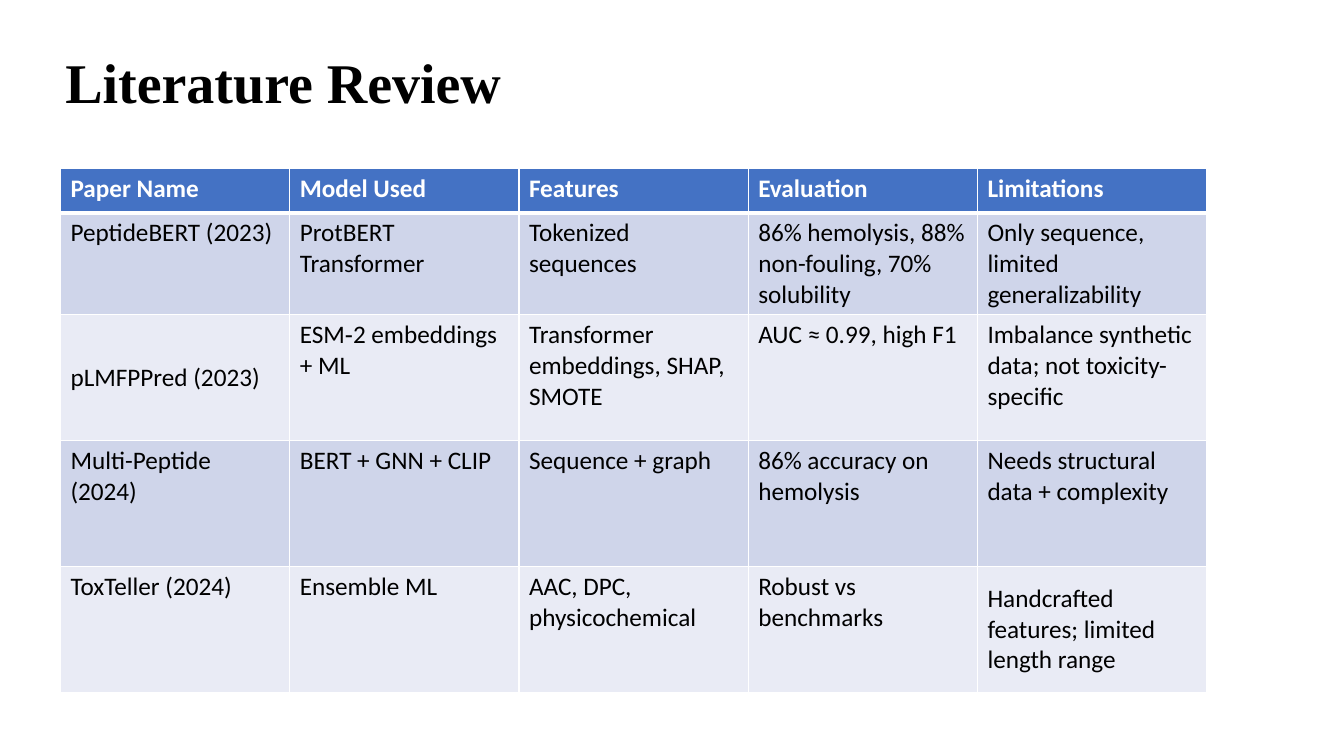
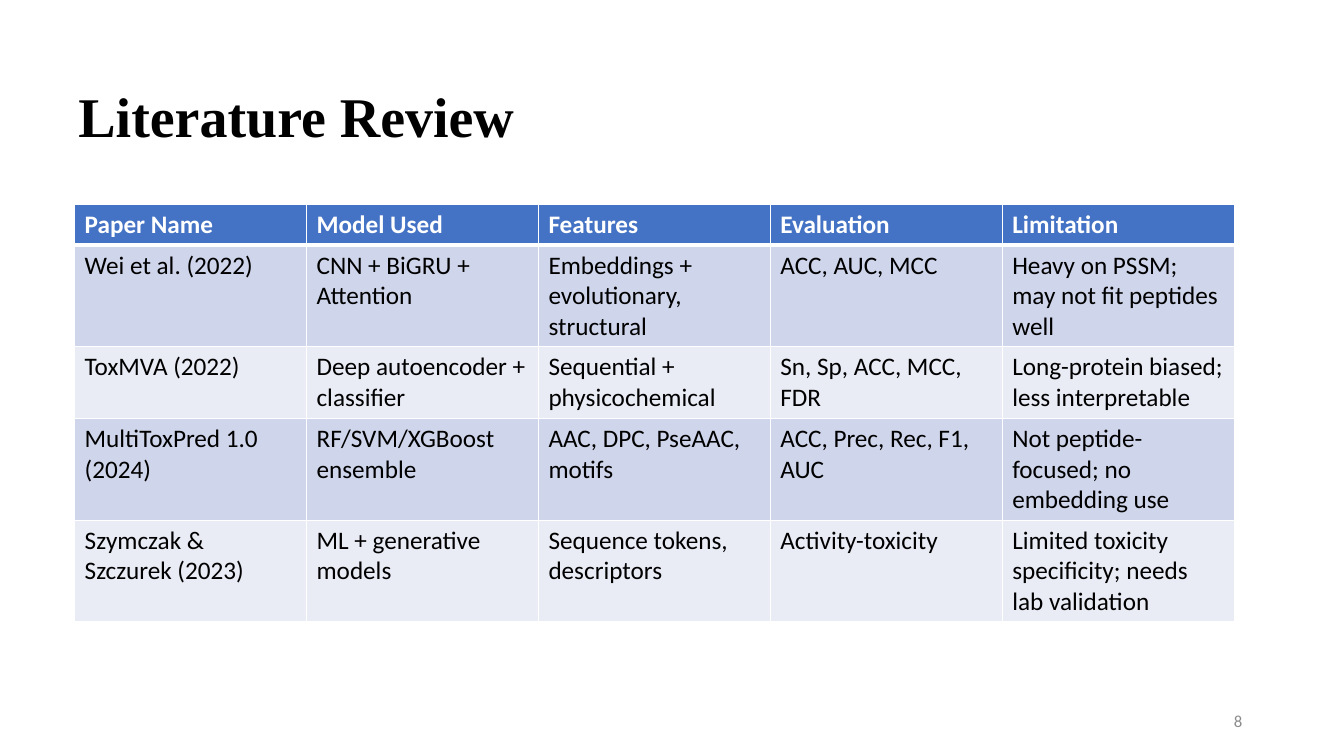
import dataclasses

import lxml.etree
import pptx
import pptx.dml.color
import pptx.enum.text
import pptx.oxml.ns
import pptx.util

Inches = pptx.util.Inches
Pt = pptx.util.Pt
RGB = pptx.dml.color.RGBColor.from_string
Anchor = pptx.enum.text.MSO_ANCHOR
Align = pptx.enum.text.PP_ALIGN
qn = pptx.oxml.ns.qn


@dataclasses.dataclass(frozen=True)
class Theme:
    header_fill: str = "4472C4"
    band_fills: tuple = ("CFD5EA", "E9EBF5")
    border: str = "FFFFFF"
    thin: float = 1
    thick: float = 3
    title: dict = dataclasses.field(default_factory=lambda: {
        "name": "Times New Roman", "size": Pt(40), "bold": True, "color": "000000"})
    header: dict = dataclasses.field(default_factory=lambda: {
        "name": "Calibri", "size": Pt(18), "bold": True, "color": "FFFFFF"})
    body: dict = dataclasses.field(default_factory=lambda: {
        "name": "Calibri", "size": Pt(18), "bold": False, "color": "000000"})
    page_number: dict = dataclasses.field(default_factory=lambda: {
        "name": "Calibri", "size": Pt(12), "bold": False, "color": "8C8C8C"})


THEME = Theme()

REVIEWS = [
    {
        "title_box": (0.55, 0.45, 9.28, 0.79),
        "title_format": {"line_spacing": 0.9},
        "table_box": (0.6, 1.67, 11.37),
        "row_heights": (0.44, 1.01, 1.25, 1.25, 1.25),
        "centred_cells": {(2, 0), (4, 4)},
        "page": None,
        "papers": [
            ("Paper Name", "Model Used", "Features", "Evaluation", "Limitations"),
            ("PeptideBERT (2023)", "ProtBERT Transformer", "Tokenized sequences",
             "86% hemolysis, 88% non-fouling, 70% solubility",
             "Only sequence, limited generalizability"),
            ("pLMFPPred (2023)", "ESM‑2 embeddings + ML",
             "Transformer embeddings, SHAP, SMOTE", "AUC ≈ 0.99, high F1",
             "Imbalance synthetic data; not toxicity-specific"),
            ("Multi-Peptide (2024)", "BERT + GNN + CLIP", "Sequence + graph",
             "86% accuracy on hemolysis", "Needs structural data + complexity"),
            ("ToxTeller (2024)", "Ensemble ML", "AAC, DPC, physicochemical",
             "Robust vs benchmarks", "Handcrafted features; limited length range"),
        ],
    },
    {
        "title_box": (0.68, 0.76, 4.57, 0.77),
        "title_format": {},
        "table_box": (0.74, 2.03, 11.5),
        "row_heights": (0.4, 1.01, 0.71, 1.01, 1.01),
        "centred_cells": set(),
        "page": "8",
        "papers": [
            ("Paper Name", "Model Used", "Features", "Evaluation", "Limitation"),
            ("Wei et al. (2022)", "CNN + BiGRU + Attention",
             "Embeddings + evolutionary, structural", "ACC, AUC, MCC",
             "Heavy on PSSM; may not fit peptides well"),
            ("ToxMVA (2022)", "Deep autoencoder + classifier",
             "Sequential + physicochemical", "Sn, Sp, ACC, MCC, FDR",
             "Long-protein biased; less interpretable"),
            ("MultiToxPred 1.0 (2024)", "RF/SVM/XGBoost ensemble",
             "AAC, DPC, PseAAC, motifs", "ACC, Prec, Rec, F1, AUC",
             "Not peptide-focused; no embedding use"),
            ("Szymczak & Szczurek (2023)", "ML + generative models",
             "Sequence tokens, descriptors", "Activity-toxicity",
             "Limited toxicity specificity; needs lab validation"),
        ],
    },
]


def set_all(target, values):
    for attribute, value in values.items():
        setattr(target, attribute, value)


def write_text(paragraph, text, font_format, paragraph_format=None):
    run = paragraph.add_run()
    run.text = text
    for attribute, value in font_format.items():
        if attribute == "color":
            run.font.color.rgb = RGB(value)
        else:
            setattr(run.font, attribute, value)
    set_all(paragraph, paragraph_format or {})


def add_label(slide, box, text, font_format, paragraph_format):
    label = slide.shapes.add_textbox(*map(Inches, box)).text_frame
    set_all(label, {"word_wrap": True, "vertical_anchor": Anchor.MIDDLE})
    write_text(label.paragraphs[0], text, font_format, paragraph_format)


def add_borders(cell, widths):
    properties = cell._tc.get_or_add_tcPr()
    for side, width in widths.items():
        line = lxml.etree.SubElement(properties, qn(f"a:ln{side}"), w=str(Pt(width)))
        fill = lxml.etree.SubElement(line, qn("a:solidFill"))
        lxml.etree.SubElement(fill, qn("a:srgbClr"), val=THEME.border)


def style_cell(cell, row, fill, anchor):
    add_borders(cell, {
        "L": THEME.thin,
        "R": THEME.thin,
        "T": THEME.thick if row == 1 else THEME.thin,
        "B": THEME.thick if row == 0 else THEME.thin,
    })
    cell.fill.solid()
    cell.fill.fore_color.rgb = RGB(fill)
    cell.vertical_anchor = anchor


def add_papers_table(slide, box, papers, row_heights, centred_cells):
    left, top, width = box
    column_count = len(papers[0])
    table = slide.shapes.add_table(
        len(papers), column_count, Inches(left), Inches(top),
        Inches(width), Inches(sum(row_heights))).table
    for column in table.columns:
        column.width = Inches(width / column_count)
    for row, (paper, height) in enumerate(zip(papers, row_heights)):
        table.rows[row].height = Inches(height)
        fill = THEME.band_fills[(row - 1) % 2] if row else THEME.header_fill
        font_format = THEME.body if row else THEME.header
        for column, text in enumerate(paper):
            cell = table.cell(row, column)
            anchor = Anchor.MIDDLE if (row, column) in centred_cells else Anchor.TOP
            style_cell(cell, row, fill, anchor)
            write_text(cell.text_frame.paragraphs[0], text, font_format)


def add_review_slide(deck, review):
    slide = deck.slides.add_slide(deck.slide_layouts[6])
    add_label(slide, review["title_box"], "Literature Review",
              THEME.title, review["title_format"])
    add_papers_table(slide, review["table_box"], review["papers"],
                     review["row_heights"], review["centred_cells"])
    if review["page"]:
        add_label(slide, (9.42, 6.95, 3, 0.4), review["page"],
                  THEME.page_number, {"alignment": Align.RIGHT})


def main():
    deck = pptx.Presentation()
    set_all(deck, {"slide_width": Inches(13.33), "slide_height": Inches(7.5)})
    for review in REVIEWS:
        add_review_slide(deck, review)
    deck.save("out.pptx")


if __name__ == "__main__":
    main()
